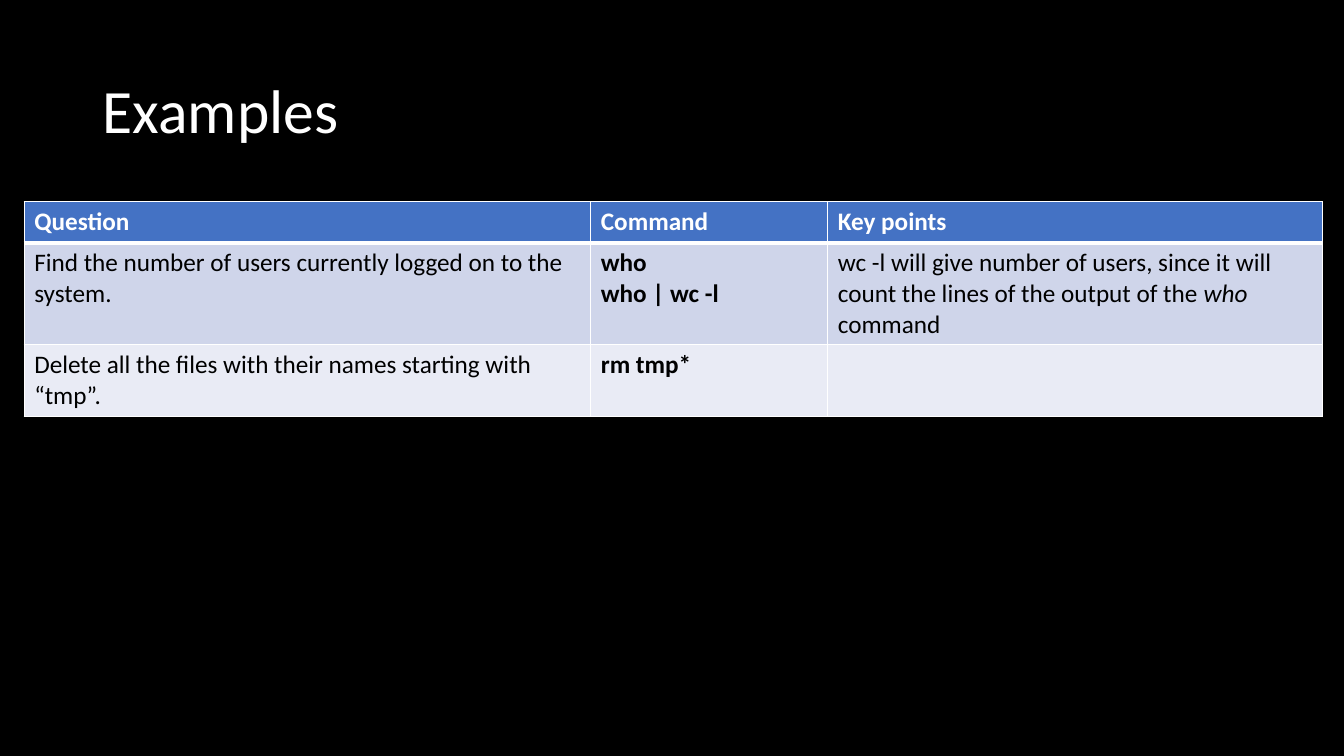
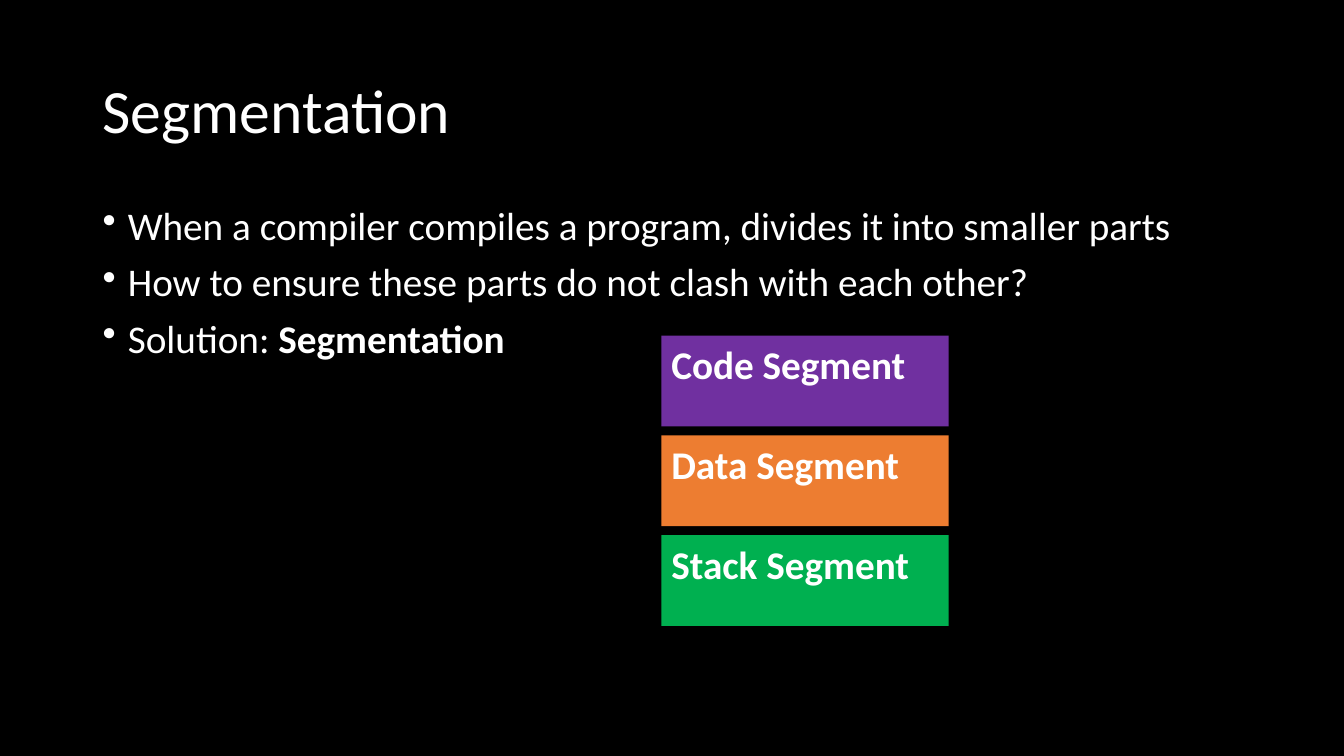
from dataclasses import dataclass

from lxml import etree
from pptx import Presentation
from pptx.dml.color import RGBColor
from pptx.enum.shapes import MSO_SHAPE
from pptx.enum.text import MSO_ANCHOR, PP_ALIGN
from pptx.oxml import parse_xml
from pptx.oxml.ns import nsdecls, qn
from pptx.util import Pt

RECT = MSO_SHAPE.RECTANGLE
TOP, MIDDLE = MSO_ANCHOR.TOP, MSO_ANCHOR.MIDDLE
LEFT = PP_ALIGN.LEFT
SCALE = 9144


@dataclass(frozen=True)
class Theme:
    """Colours and type sizes of the deck."""
    font: str = "Calibri"
    back: str = "000000"
    light: str = "FFFFFF"
    dark: str = "000000"
    head: str = "4472C4"
    bands: tuple = ("CFD5EA", "E9EBF5")
    blocks: tuple = ("7030A0", "ED7D31", "00B050")
    title: int = 44
    body: int = 28
    cell: int = 18


THEME = Theme()
TITLE = (92, 40, 1150, 145)
GRID = (24, 200, 1288, 213)
BODY = (92, 200, 1150, 476)
STACK = (656, 333, 285, 288)

COLS = (562, 235, 491)
ROWS = (41, 101, 71)
TABLE = (
    ([[("Question", "b")]], [[("Command", "b")]], [[("Key points", "b")]]),
    (
        [[("Find the number of users currently logged on to the system.", "")]],
        [[("who", "b")], [("who | wc -l", "b")]],
        [[("wc -l will give number of users, since it will count the lines "
           "of the output of the ", ""), ("who ", "i"), ("command", "")]],
    ),
    (
        [[("Delete all the files with their names starting with “tmp”.", "")]],
        [[("rm tmp*", "b")]],
        [[]],
    ),
)
POINTS = (
    [("When a compiler compiles a program, divides it into smaller parts", "")],
    [("How to ensure these parts do not clash with each other?", "")],
    [("Solution: ", ""), ("Segmentation", "b")],
)
PARTS = ("Code Segment", "Data Segment", "Stack Segment")


def px(*vals):
    """Turn px lengths into EMU."""
    return [val * SCALE for val in vals]


def paint(fill, color):
    """Give a fill one solid colour."""
    fill.solid()
    fill.fore_color.rgb = RGBColor.from_string(color)


def write(frame, paras, size, color):
    """Fill a frame with paragraphs of (text, style) runs."""
    for num, runs in enumerate(paras):
        para = frame.paragraphs[0] if num == 0 else frame.add_paragraph()
        para.alignment = LEFT
        para.font.size = Pt(size)
        for text, style in runs:
            run = para.add_run()
            run.text = text
            font = run.font
            font.name, font.size = THEME.font, Pt(size)
            font.bold, font.italic = "b" in style, "i" in style
            font.color.rgb = RGBColor.from_string(color)


def add_text(slide, box, paras, size, anchor):
    """Place a wrapped text box and return its frame."""
    frame = slide.shapes.add_textbox(*px(*box)).text_frame
    frame.word_wrap = True
    frame.vertical_anchor = anchor
    write(frame, paras, size, THEME.light)
    for para in frame.paragraphs:
        para.line_spacing = 0.9
    return frame


def add_slide(deck, title):
    """Start a slide with the shared background and title."""
    slide = deck.slides.add_slide(deck.slide_layouts[6])
    paint(slide.background.fill, THEME.back)
    add_text(slide, TITLE, [[(title, "")]], THEME.title, MIDDLE)
    return slide


def add_edges(cell, top, low):
    """Draw the four borders of a cell."""
    props = cell._tc.get_or_add_tcPr()
    sides = (("lnL", 1), ("lnR", 1), ("lnT", top), ("lnB", low))
    for num, (side, width) in enumerate(sides):
        props.insert(num, parse_xml(
            f'<a:{side} {nsdecls("a")} w="{Pt(width)}"><a:solidFill>'
            f'<a:srgbClr val="{THEME.light}"/></a:solidFill></a:{side}>'))


def add_grid(slide, box):
    """Place the table of questions and commands."""
    grid = slide.shapes.add_table(len(ROWS), len(COLS), *px(*box)).table
    for col, width in zip(grid.columns, px(*COLS)):
        col.width = width
    for num, (row, high, items) in enumerate(zip(grid.rows, px(*ROWS), TABLE)):
        row.height = high
        fill = THEME.bands[(num - 1) % 2] if num else THEME.head
        ink = THEME.dark if num else THEME.light
        for cell, paras in zip(row.cells, items):
            paint(cell.fill, fill)
            write(cell.text_frame, paras, THEME.cell, ink)
            add_edges(cell, 3 if num == 1 else 1, 1 if num else 3)


def add_points(slide, box):
    """Place the bulleted list."""
    frame = add_text(slide, box, POINTS, THEME.body, TOP)
    for num, para in enumerate(frame.paragraphs):
        para.space_before = Pt(10 if num else 0)
        props = para._p.get_or_add_pPr()
        inset, = px(25)
        props.set("marL", str(inset))
        props.set("indent", str(-inset))
        mark = etree.Element(qn("a:buChar"), char="•")
        props.find(qn("a:defRPr")).addprevious(mark)


def add_stack(slide, box):
    """Stack the segment blocks with equal gaps."""
    left, top, width, height = box
    gap = 9
    high = (height - gap * (len(PARTS) - 1)) // len(PARTS)
    group = slide.shapes.add_group_shape()
    for num, (part, color) in enumerate(zip(PARTS, THEME.blocks)):
        spot = px(left, top + num * (high + gap), width, high)
        block = group.shapes.add_shape(RECT, *spot)
        block.shadow.inherit = False
        block.line.fill.background()
        paint(block.fill, color)
        frame = block.text_frame
        frame.word_wrap = True
        frame.vertical_anchor = TOP
        write(frame, [[(part, "b")]], THEME.body, THEME.light)


def main():
    """Build and save the deck."""
    deck = Presentation()
    deck.slide_width, deck.slide_height = px(1333, 750)
    add_grid(add_slide(deck, "Examples"), GRID)
    slide = add_slide(deck, "Segmentation")
    add_points(slide, BODY)
    add_stack(slide, STACK)
    deck.save("out.pptx")


if __name__ == "__main__":
    main()
